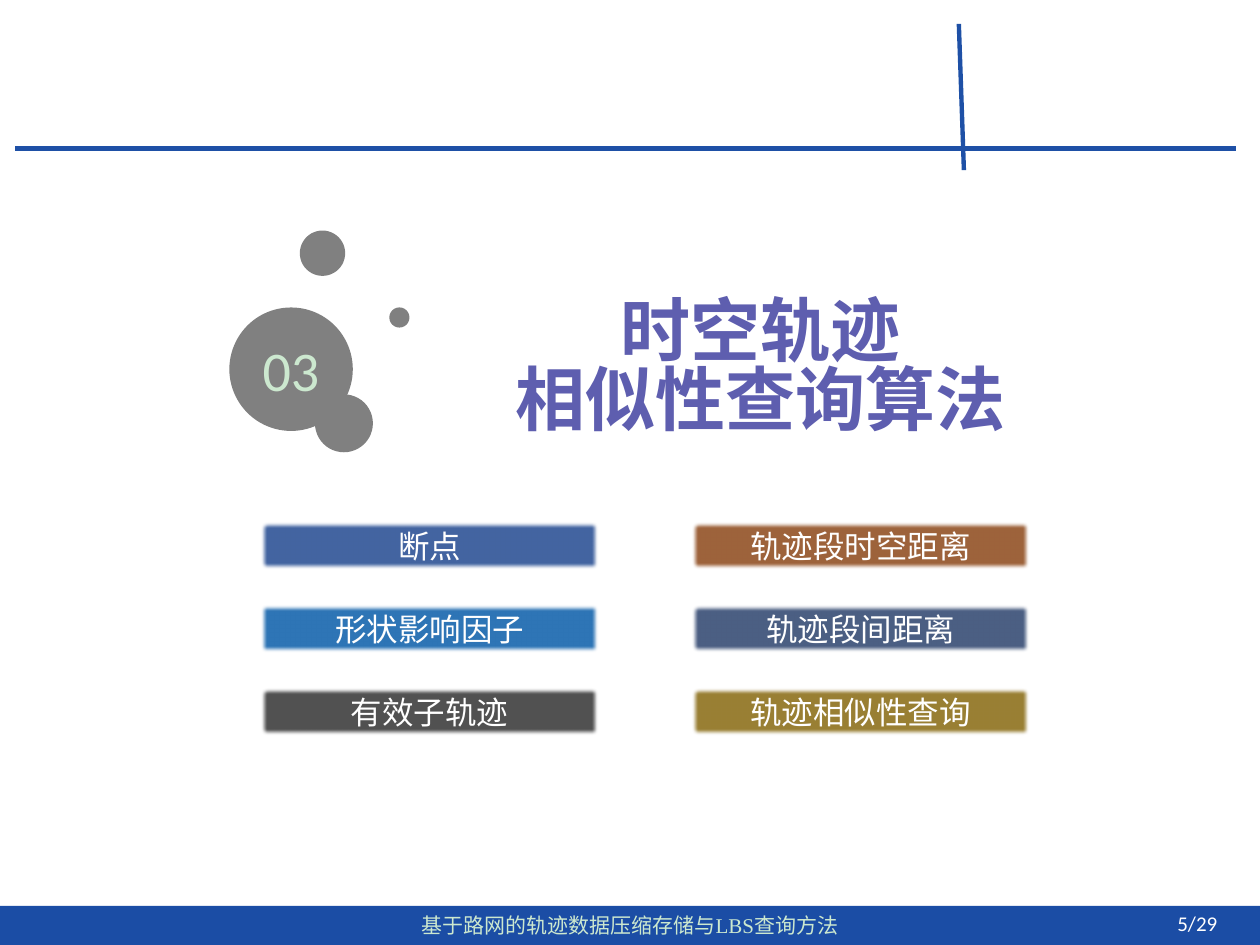
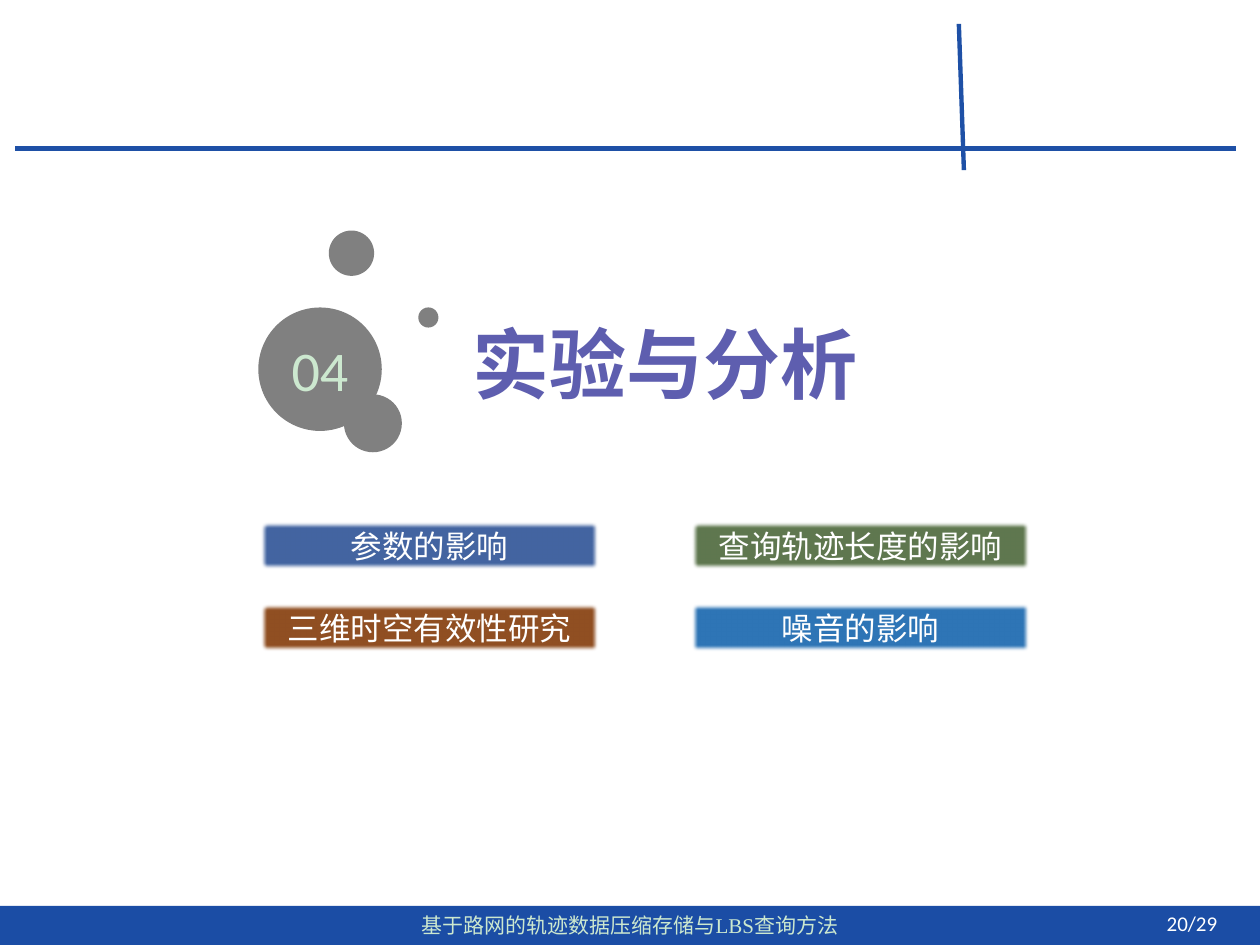
import pptx
import pptx.util
import pptx.dml.color
import pptx.enum.shapes
import pptx.enum.text
import pptx.oxml.ns
import lxml.etree

Inches = pptx.util.Inches
Pt = pptx.util.Pt
SHAPE = pptx.enum.shapes.MSO_SHAPE
ALIGN = pptx.enum.text.PP_ALIGN
qn = pptx.oxml.ns.qn

COLORS = {
    "white": "FFFFFF", "rule": "1E50A6", "footer": "1B4DA5", "mint": "CCE8CF",
    "title": "5E5EAF", "bubble": "808080", "navy": "2F5597", "brown": "843C0B",
    "blue": "2E75B6", "indigo": "203864", "charcoal": "404040",
    "olive": "806000", "green": "385723",
}
CJK = "Noto Sans CJK SC"
FOOTER = "基于路网的轨迹数据压缩存储与LBS查询方法"
TOTAL_PAGES = 29
RULES = [(0.12, 1.18, 9.81, 1.18), (7.61, 0.19, 7.65, 1.35)]
BUBBLES = [(0, 2.44, 0.98), (0.68, 3.13, 0.46), (0.56, 1.83, 0.36), (1.27, 2.44, 0.16)]
BAR_COLUMNS = [2.06, 5.48]
BAR_TOP = 4.13

SECTIONS = [
    {"number": "03", "page": 5, "title": ["时空轨迹", "相似性查询算法"], "size": 40,
     "title_box": (2.71, 2.08, 6.65, 1.72), "bubble_left": 1.82, "bar_step": 0.66,
     "bars": [("断点", "navy", 90), ("轨迹段时空距离", "brown", 80),
              ("形状影响因子", "blue", 100), ("轨迹段间距离", "indigo", 80),
              ("有效子轨迹", "charcoal", 90), ("轨迹相似性查询", "olive", 80)]},
    {"number": "04", "page": 20, "title": ["实验与分析"], "size": 44,
     "title_box": (2.31, 2.08, 5.94, 1.72), "bubble_left": 2.05, "bar_step": 0.65,
     "bars": [("参数的影响", "navy", 90), ("查询轨迹长度的影响", "green", 80),
              ("三维时空有效性研究", "brown", 90), ("噪音的影响", "blue", 100)]},
]


def add_text(sp, lines, size, color, font="Times New Roman", bold=False,
             align=ALIGN.CENTER, spacing=None, inset=0):
    tf = sp.text_frame
    tf.word_wrap = True
    tf.vertical_anchor = pptx.enum.text.MSO_ANCHOR.MIDDLE
    tf.margin_left = tf.margin_right = Inches(inset)
    tf.margin_top = tf.margin_bottom = 0
    for i, line in enumerate(lines):
        p = tf.paragraphs[0] if i == 0 else tf.add_paragraph()
        p.alignment = align
        p.line_spacing = spacing
        r = p.add_run()
        r.text = line
        r.font.size = Pt(size)
        r.font.bold = bold
        r.font.name = font
        r.font.color.rgb = pptx.dml.color.RGBColor.from_string(COLORS[color])
        ea = lxml.etree.SubElement(r.font._element, qn("a:ea"))
        ea.set("typeface", CJK)


def add_filled(s, kind, box, color):
    sp = s.shapes.add_shape(kind, *map(Inches, box))
    sp.shadow.inherit = False
    sp.fill.solid()
    sp.fill.fore_color.rgb = pptx.dml.color.RGBColor.from_string(COLORS[color])
    sp.line.fill.background()
    return sp


prs = pptx.Presentation()
prs.slide_width = Inches(10)
prs.slide_height = Inches(7.5)

for section in SECTIONS:
    s = prs.slides.add_slide(prs.slide_layouts[6])
    s.background.fill.solid()
    s.background.fill.fore_color.rgb = pptx.dml.color.RGBColor.from_string(COLORS["white"])

    for ends in RULES:
        rule = s.shapes.add_connector(
            pptx.enum.shapes.MSO_CONNECTOR.STRAIGHT, *map(Inches, ends))
        rule.line.width = Pt(2.5)
        rule.line.color.rgb = pptx.dml.color.RGBColor.from_string(COLORS["rule"])
        lxml.etree.SubElement(rule._element.spPr, qn("a:effectLst"))

    footer = add_filled(s, SHAPE.RECTANGLE, (0, 7.19, 10, 0.31), "footer")
    add_text(footer, [FOOTER], 12, "mint")

    title = s.shapes.add_textbox(*map(Inches, section["title_box"]))
    add_text(title, section["title"], section["size"], "title", font=CJK,
             bold=True, spacing=0.82)

    for i, (dx, top, size) in enumerate(BUBBLES):
        bubble = add_filled(s, SHAPE.FLOWCHART_CONNECTOR,
                            (section["bubble_left"] + dx, top, size, size), "bubble")
        if i == 0:
            add_text(bubble, [section["number"]], 32, "mint", font="Calibri")

    page = s.shapes.add_textbox(Inches(8.46), Inches(7.17), Inches(1.3), Inches(0.31))
    add_text(page, [f"{section['page']}/{TOTAL_PAGES}"], 12, "white",
             font="Calibri", align=ALIGN.RIGHT, inset=0.1)

    for i, (label, color, opacity) in enumerate(section["bars"]):
        row, col = divmod(i, len(BAR_COLUMNS))
        top = BAR_TOP + row * section["bar_step"]
        bar = add_filled(s, SHAPE.RECTANGLE, (BAR_COLUMNS[col], top, 2.7, 0.4), color)
        add_text(bar, [label], 18, "white")
        spPr = bar._element.spPr
        if opacity < 100:
            alpha = lxml.etree.SubElement(spPr.find(f".//{qn('a:srgbClr')}"), qn("a:alpha"))
            alpha.set("val", str(opacity * 1000))
        soft = lxml.etree.SubElement(spPr.find(qn("a:effectLst")), qn("a:softEdge"))
        soft.set("rad", str(Pt(2.5)))

prs.save("out.pptx")
